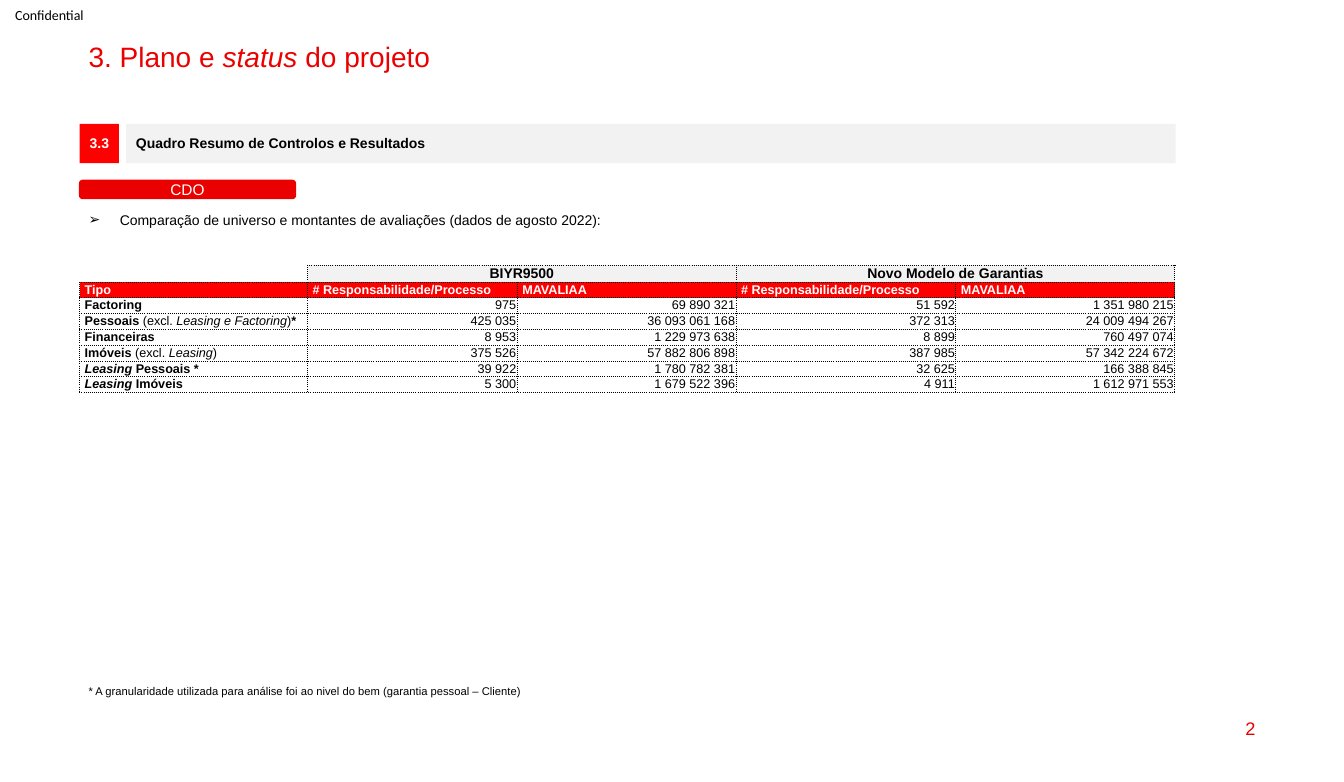
from dataclasses import dataclass
from typing import NamedTuple

from lxml import etree
from pptx import Presentation
from pptx.dml.color import RGBColor
from pptx.enum import shapes, text
from pptx.oxml import ns
from pptx.util import Inches, Pt

RED = RGBColor(0xEB, 0x00, 0x00)
BRIGHT_RED = RGBColor(0xFF, 0x00, 0x00)
GREY = RGBColor(0xF2, 0xF2, 0xF2)
WHITE = RGBColor(0xFF, 0xFF, 0xFF)
BLACK = RGBColor(0x00, 0x00, 0x00)
LEFT, CENTER, RIGHT = text.PP_ALIGN.LEFT, text.PP_ALIGN.CENTER, text.PP_ALIGN.RIGHT
TOP, MIDDLE, BOTTOM = text.MSO_ANCHOR.TOP, text.MSO_ANCHOR.MIDDLE, text.MSO_ANCHOR.BOTTOM
RECT = shapes.MSO_SHAPE.RECTANGLE
ROUNDED = shapes.MSO_SHAPE.ROUNDED_RECTANGLE


class Words(NamedTuple):
    content: str
    bold: bool = False
    italic: bool = False


@dataclass
class Block:
    box: tuple[float, float, float, float]
    words: list[Words]
    size: float
    color: RGBColor = BLACK
    font: str = "Arial"
    align: text.PP_ALIGN = LEFT
    anchor: text.MSO_ANCHOR = MIDDLE
    margins: tuple[float, float] = (0.1, 0.05)
    spacing: float = 1.0
    wrap: bool = True
    bullet: str = ""
    preset: shapes.MSO_SHAPE | None = None
    fill: RGBColor | None = None
    outlined: bool = False


BLOCKS = [
    Block((0.15, 0, 0.84, 0.29), [Words("Confidential")], 10, font="Calibri",
          margins=(0, 0), wrap=False),
    Block((0.78, 0.38, 11.77, 0.34),
          [Words("3. Plano e "), Words("status", italic=True), Words(" do projeto")],
          20, RED, anchor=TOP, spacing=0.9),
    Block((9.55, 7.02, 3, 0.41), [Words("2")], 13, RED, align=RIGHT),
    Block((0.79, 1.23, 0.39, 0.39), [Words("3.3", True)], 10, WHITE, align=CENTER,
          spacing=0.9, wrap=False, preset=RECT, fill=BRIGHT_RED),
    Block((1.25, 1.23, 10.41, 0.39),
          [Words("Quadro Resumo de Controlos e Resultados", True)], 10,
          spacing=0.9, preset=RECT, fill=GREY),
    Block((0.79, 1.79, 2.14, 0.18), [Words("CDO")], 11, WHITE, align=CENTER,
          preset=ROUNDED, fill=RED, outlined=True),
    Block((0.78, 6.74, 4.56, 0.24),
          [Words("* A granularidade utilizada para análise foi ao nivel do bem "
                 "(garantia pessoal – Cliente)")], 8, wrap=False),
    Block((0.78, 2.05, 9.31, 0.27),
          [Words("Comparação de universo e montantes de avaliações "
                 "(dados de agosto 2022):")], 10, anchor=TOP, bullet="➢"),
]

COLUMN_WIDTHS = [2.26, 2.08, 2.17, 2.18, 2.17]
ROW_HEIGHT = 0.157
MODELS = {1: "BIYR9500", 3: "Novo Modelo de Garantias"}
HEADINGS = ["Tipo"] + ["# Responsabilidade/Processo", "MAVALIAA"] * 2
GUARANTEES = [
    ([Words("Factoring", True)],
     ["975", "69 890 321", "51 592", "1 351 980 215"]),
    ([Words("Pessoais ", True), Words("(excl. "),
      Words("Leasing e Factoring", italic=True), Words(")"), Words("*", True)],
     ["425 035", "36 093 061 168", "372 313", "24 009 494 267"]),
    ([Words("Financeiras", True)],
     ["8 953", "1 229 973 638", "8 899", "760 497 074"]),
    ([Words("Imóveis ", True), Words("(excl. "), Words("Leasing", italic=True), Words(")")],
     ["375 526", "57 882 806 898", "387 985", "57 342 224 672"]),
    ([Words("Leasing ", True, True), Words("Pessoais *", True)],
     ["39 922", "1 780 782 381", "32 625", "166 388 845"]),
    ([Words("Leasing ", True, True), Words("Imóveis", True)],
     ["5 300", "1 679 522 396", "4 911", "1 612 971 553"]),
]


def add_words(paragraph, words: list[Words], size: float, color: RGBColor,
              font: str = "Arial") -> None:
    for item in words:
        run = paragraph.add_run()
        run.text = item.content
        run.font.name = font
        run.font.size = Pt(size)
        run.font.bold = item.bold
        run.font.italic = item.italic
        run.font.color.rgb = color


def add_bullet(paragraph, symbol: str) -> None:
    properties = paragraph._p.get_or_add_pPr()
    indent = Inches(0.31)
    properties.set("marL", str(indent))
    properties.set("indent", str(-indent))
    etree.SubElement(properties, ns.qn("a:buFont"), typeface="Arial")
    etree.SubElement(properties, ns.qn("a:buChar"), char=symbol)


def draw_block(slide, block: Block) -> None:
    place = [Inches(length) for length in block.box]
    if block.preset is None:
        shape = slide.shapes.add_textbox(*place)
    else:
        shape = slide.shapes.add_shape(block.preset, *place)
        shape.shadow.inherit = False
        shape.fill.solid()
        shape.fill.fore_color.rgb = block.fill
        if block.outlined:
            shape.line.color.rgb = block.fill
            shape.line.width = Pt(1)
        else:
            shape.line.fill.background()
    frame = shape.text_frame
    frame.word_wrap = block.wrap
    frame.vertical_anchor = block.anchor
    frame.margin_left = frame.margin_right = Inches(block.margins[0])
    frame.margin_top = frame.margin_bottom = Inches(block.margins[1])
    paragraph = frame.paragraphs[0]
    if block.bullet:
        add_bullet(paragraph, block.bullet)
    paragraph.alignment = block.align
    paragraph.line_spacing = block.spacing
    add_words(paragraph, block.words, block.size, block.color, block.font)


def set_borders(cell, hidden: str = "") -> None:
    properties = cell._tc.get_or_add_tcPr()
    for position, side in enumerate("LRTB"):
        line = etree.Element(ns.qn(f"a:ln{side}"), w=str(Pt(0.5)))
        if side in hidden:
            etree.SubElement(line, ns.qn("a:noFill"))
        else:
            paint = etree.SubElement(line, ns.qn("a:solidFill"))
            etree.SubElement(paint, ns.qn("a:srgbClr"), val=str(BLACK))
            etree.SubElement(line, ns.qn("a:prstDash"), val="sysDot")
        properties.insert(position, line)


def fill_cell(cell, words: list[Words], size: float = 9, color: RGBColor = BLACK,
              fill: RGBColor | None = None, align: text.PP_ALIGN = LEFT,
              anchor: text.MSO_ANCHOR = MIDDLE, side_margin: float = 0.05,
              hidden: str = "") -> None:
    cell.margin_left = cell.margin_right = Inches(side_margin)
    cell.margin_top = cell.margin_bottom = 0
    cell.vertical_anchor = anchor
    if fill is None:
        cell.fill.background()
    else:
        cell.fill.solid()
        cell.fill.fore_color.rgb = fill
    set_borders(cell, hidden)
    paragraph = cell.text_frame.paragraphs[0]
    paragraph.alignment = align
    add_words(paragraph, words, size, color)
    etree.SubElement(paragraph._p, ns.qn("a:endParaRPr"), sz=str(size * 100))


def draw_guarantees(slide) -> None:
    table = slide.shapes.add_table(
        len(GUARANTEES) + 2, len(COLUMN_WIDTHS), Inches(0.79), Inches(2.63),
        Inches(sum(COLUMN_WIDTHS)), Inches(ROW_HEIGHT * (len(GUARANTEES) + 2))).table
    table.first_row = table.horz_banding = False
    for column, width in zip(table.columns, COLUMN_WIDTHS):
        column.width = Inches(width)
    for row in table.rows:
        row.height = Inches(ROW_HEIGHT)

    fill_cell(table.cell(0, 0), [], hidden="LT")
    for column in range(1, len(COLUMN_WIDTHS)):
        words = [Words(MODELS[column], True)] if column in MODELS else []
        fill_cell(table.cell(0, column), words, 10, fill=GREY, align=CENTER, anchor=BOTTOM)
    for column in MODELS:
        table.cell(0, column).merge(table.cell(0, column + 1))
    for column, heading in enumerate(HEADINGS):
        fill_cell(table.cell(1, column), [Words(heading, True)], color=WHITE, fill=BRIGHT_RED)
    for row, (kind, amounts) in enumerate(GUARANTEES, start=2):
        fill_cell(table.cell(row, 0), kind)
        for column, amount in enumerate(amounts, start=1):
            fill_cell(table.cell(row, column), [Words(amount)], align=RIGHT, side_margin=0.01)


def main() -> None:
    deck = Presentation()
    deck.slide_width, deck.slide_height = Inches(13.33), Inches(7.76)
    slide = deck.slides.add_slide(deck.slide_layouts[6])
    for block in BLOCKS:
        draw_block(slide, block)
    draw_guarantees(slide)
    deck.save("out.pptx")


if __name__ == "__main__":
    main()
